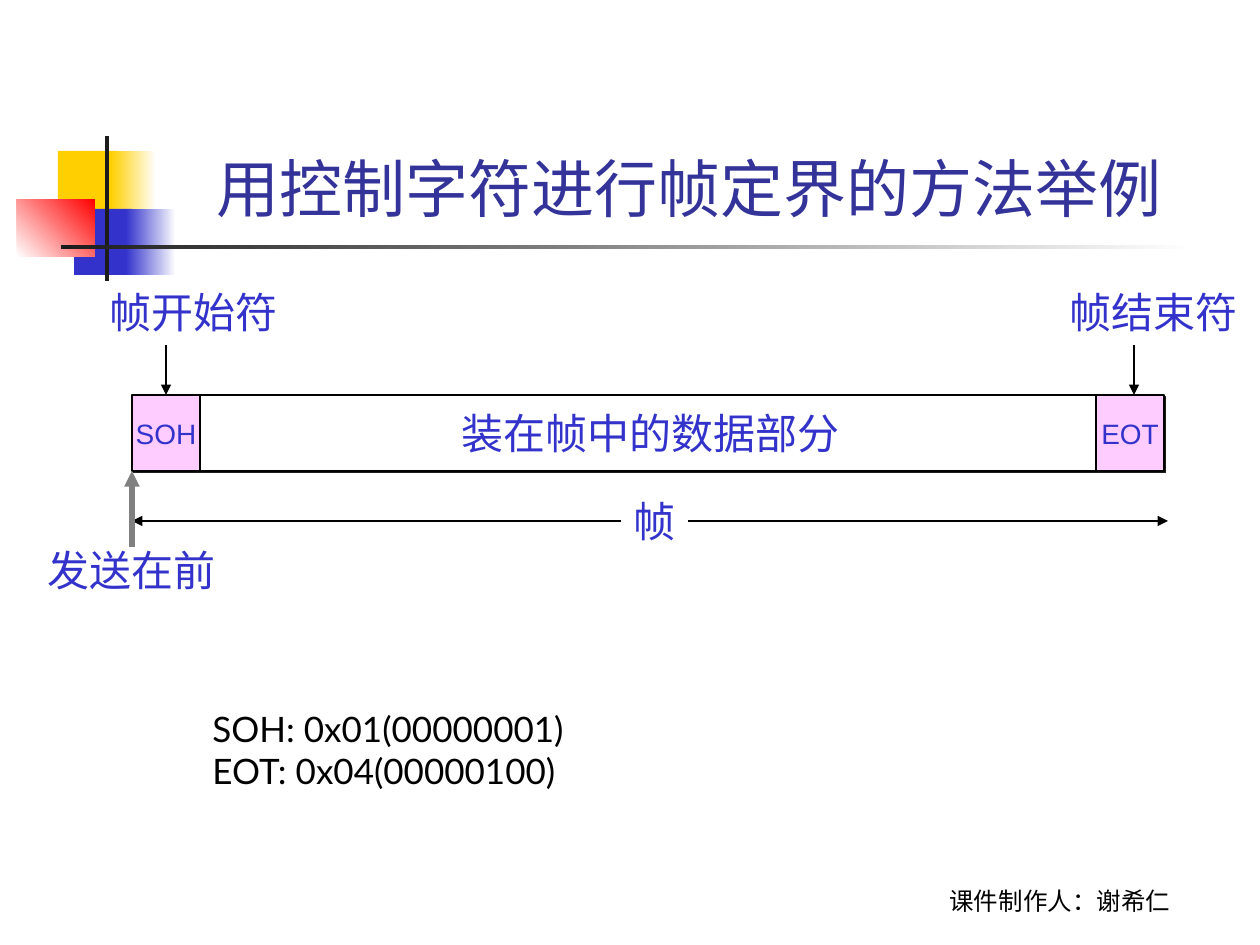
from lxml.etree import SubElement
from pptx import Presentation
from pptx.dml.color import RGBColor
from pptx.enum.shapes import MSO_CONNECTOR, MSO_SHAPE
from pptx.enum.text import MSO_ANCHOR, PP_ALIGN
from pptx.oxml.ns import qn
from pptx.util import Pt

PX = 914400 / 126
BLUE, PINK, BLACK, WHITE = "3333CC", "FFCCFF", "000000", "FFFFFF"
YELLOW, RED, DARK, GREY, NAVY = "FFCF01", "FF0000", "1C1C1C", "808080", "333399"

# left, top, width, height, colour or (from, to) gradient, angle
ORNAMENT = [
    (58, 151, 60, 66, YELLOW, 0),
    (111, 151, 45, 66, (YELLOW, WHITE), 0),
    (74, 209, 58, 66, BLUE, 0),
    (126, 209, 50, 66, (BLUE, WHITE), 0),
    (17, 199, 78, 58, (WHITE, RED), 45),
    (105, 136, 4, 145, DARK, 0),
    (61, 245, 1134, 4, (DARK, WHITE), 0),
]

FRAME_TOP, FRAME_HEIGHT = 395, 76
FRAME_FIELDS = [  # text, left, width, fill, text size
    ("SOH", 132, 68, PINK, 16),
    ("装在帧中的数据部分", 200, 900, WHITE, 24),
    ("EOT", 1096, 68, PINK, 16),
]
FRAME_BOTTOM = FRAME_TOP + FRAME_HEIGHT

# x1, y1, x2, y2, colour, width in points, arrowhead at the start too
ARROWS = [
    (132, 521, 1168, 521, BLACK, 0.75, True),
    (166, 345, 166, FRAME_TOP, BLACK, 0.75, False),
    (1134, 345, 1134, FRAME_TOP, BLACK, 0.75, False),
    (132, 547, 132, FRAME_BOTTOM, GREY, 3, False),
]

LABELS = [  # text, left, top, width, fill
    ("帧", 621, 489, 67, WHITE),
    ("帧开始符", 97, 280, 193, None),
    ("帧结束符", 1057, 280, 193, None),
    ("发送在前", 35, 538, 193, None),
]

TITLE = "用控制字符进行帧定界的方法举例"
CODES = ["SOH: 0x01(00000001)", "EOT: 0x04(00000100)"]
AUTHOR = "课件制作人：谢希仁"


def px(*lengths):
    return [round(length * PX) for length in lengths]


def rgb(value):
    return RGBColor.from_string(value)


def add_rectangle(page, area, fill, angle=0):
    box = page.shapes.add_shape(MSO_SHAPE.RECTANGLE, *px(*area))
    box.shadow.inherit = False
    box.line.fill.background()
    if isinstance(fill, tuple):
        box.fill.gradient()
        box.fill.gradient_angle = angle
        for stop, colour in zip(box.fill.gradient_stops, fill):
            stop.color.rgb = rgb(colour)
    else:
        box.fill.solid()
        box.fill.fore_color.rgb = rgb(fill)
    return box


def add_drop_shadow(box):
    effects = box._element.spPr.find(qn("a:effectLst"))
    shadow = SubElement(effects, qn("a:outerShdw"), dist=str(Pt(1.4)),
                        dir="2700000", algn="ctr", rotWithShape="0")
    SubElement(shadow, qn("a:srgbClr"), val=DARK)


def write(box, lines, size, colour, font="Arial", align=PP_ALIGN.LEFT,
          anchor=MSO_ANCHOR.TOP, wrap=True):
    frame = box.text_frame
    frame.word_wrap = wrap
    frame.vertical_anchor = anchor
    for index, line in enumerate(lines):
        para = frame.add_paragraph() if index else frame.paragraphs[0]
        para.alignment = align
        span = para.add_run()
        span.text = line
        span.font.name = font
        span.font.size = Pt(size)
        span.font.color.rgb = rgb(colour)


def add_text(page, area, *args, **options):
    write(page.shapes.add_textbox(*px(*area)), *args, **options)


def add_arrow(page, x1, y1, x2, y2, colour, width, both_ends):
    arrow = page.shapes.add_connector(MSO_CONNECTOR.STRAIGHT, *px(x1, y1, x2, y2))
    arrow.line.color.rgb = rgb(colour)
    arrow.line.width = Pt(width)
    line = arrow.line._get_or_add_ln()
    for end in ("a:headEnd", "a:tailEnd") if both_ends else ("a:tailEnd",):
        SubElement(line, qn(end), type="triangle")
    SubElement(arrow._element.spPr, qn("a:effectLst"))


def main():
    deck = Presentation()
    deck.slide_width, deck.slide_height = px(1260, 945)
    page = deck.slides.add_slide(deck.slide_layouts[6])

    for *area, fill, angle in ORNAMENT:
        add_rectangle(page, area, fill, angle)
    add_text(page, (860, 859, 400, 63), [AUTHOR], 14, BLACK, font="Lato",
             align=PP_ALIGN.CENTER, anchor=MSO_ANCHOR.BOTTOM)
    add_text(page, (153, 29, 1073, 202), [TITLE], 36, NAVY,
             align=PP_ALIGN.CENTER, anchor=MSO_ANCHOR.BOTTOM)

    for text, left, width, fill, size in FRAME_FIELDS:
        box = add_rectangle(page, (left, FRAME_TOP, width, FRAME_HEIGHT), fill)
        box.line.color.rgb = rgb(BLACK)
        box.line.width = Pt(0.75)
        add_drop_shadow(box)
        write(box, [text], size, BLUE, align=PP_ALIGN.CENTER,
              anchor=MSO_ANCHOR.MIDDLE, wrap=False)

    for arrow in ARROWS:
        add_arrow(page, *arrow)
    for text, left, top, width, fill in LABELS:
        area = (left, top, width, 63)
        if fill:
            write(add_rectangle(page, area, fill), [text], 24, BLUE, wrap=False)
        else:
            add_text(page, area, [text], 24, BLUE, wrap=False)
    add_text(page, (200, 701, 460, 97), CODES, 20, BLACK, font="Lato")

    deck.save("out.pptx")


if __name__ == "__main__":
    main()
